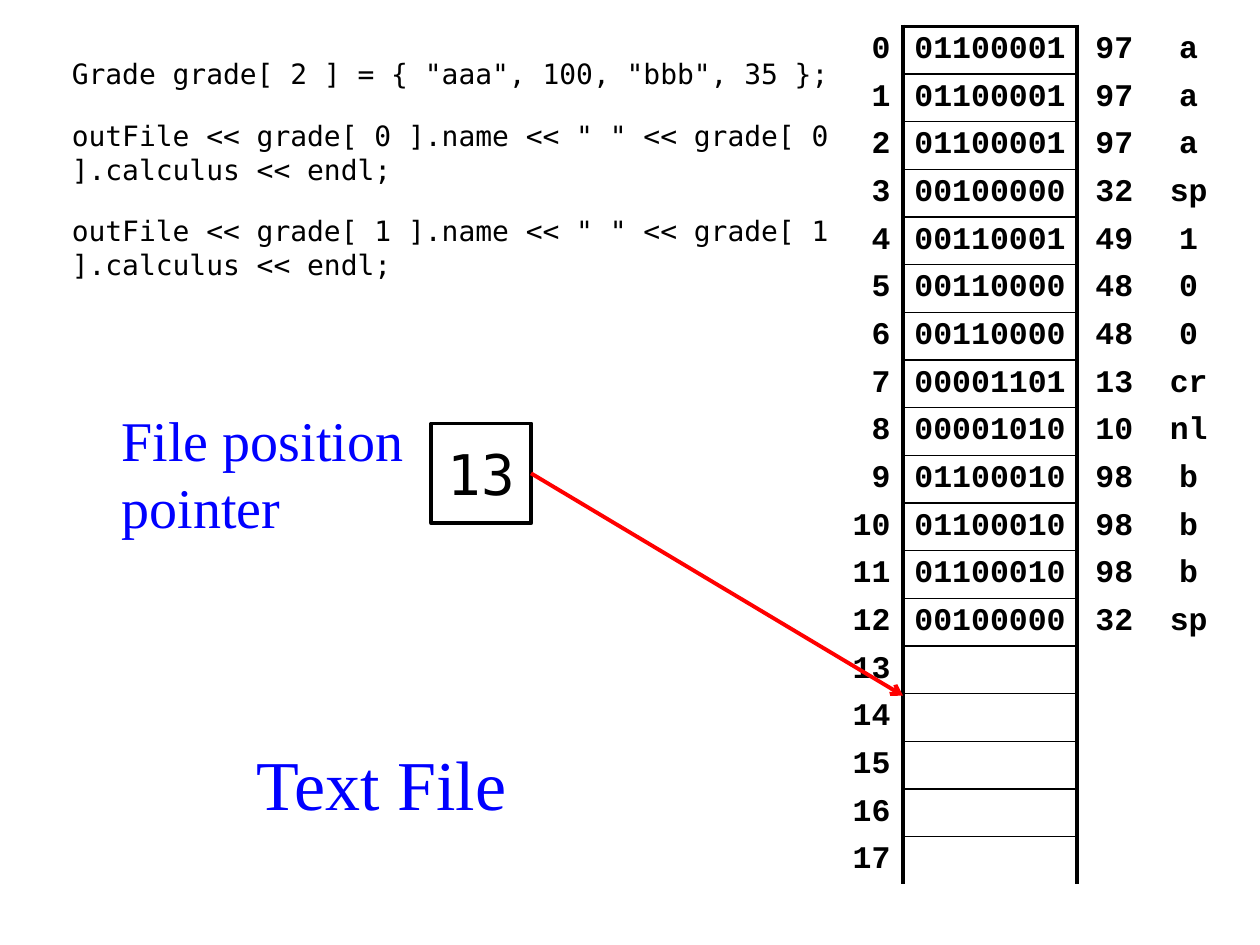
from dataclasses import dataclass

from lxml import etree
from pptx import Presentation, util as u
from pptx.dml.color import RGBColor
from pptx.enum import shapes, text
from pptx.oxml import ns

Pt = u.Pt
ALIGN = text.PP_ALIGN
MID = text.MSO_ANCHOR.MIDDLE


@dataclass(frozen=True)
class Theme:
    ink: str = "000000"
    blue: str = "0000FF"
    red: str = "FF0000"
    serif: str = "Times New Roman"
    code: str = "DejaVu Sans Mono"
    grid: str = "Courier New"
    title: float = 40
    label: float = 32
    cell: float = 18
    body: float = 16
    thick: float = 2.25
    thin: float = 1


theme = Theme()


def write(frame, lines, font, size, color, align=ALIGN.LEFT, bold=False, gap=0):
    for i, line in enumerate(lines):
        para = frame.paragraphs[0] if i == 0 else frame.add_paragraph()
        para.alignment = align
        para.space_before = Pt(gap)
        run = para.add_run()
        run.text = line
        run.font.name = font
        run.font.size = Pt(size)
        run.font.bold = bold
        run.font.color.rgb = RGBColor.from_string(color)


def border(cell, sides):
    props = cell._tc.get_or_add_tcPr()
    for i, side in enumerate("LRTB"):
        width = sides.get(side, 0)
        line = etree.Element(ns.qn(f"a:ln{side}"), w=str(int(Pt(width))))
        if width:
            fill = etree.SubElement(line, ns.qn("a:solidFill"))
            etree.SubElement(fill, ns.qn("a:srgbClr"), val=theme.ink)
        else:
            etree.SubElement(line, ns.qn("a:noFill"))
        props.insert(i, line)


deck = Presentation()
deck.slide_width, deck.slide_height = Pt(720), Pt(540)
slide = deck.slides.add_slide(deck.slide_layouts[6])

codes = [97, 97, 97, 32, 49, 48, 48, 13, 10, 98, 98, 98, 32]
names = {32: "sp", 13: "cr", 10: "nl"}
count = 18
row_h = 27.24
widths = [42.5, 99.5, 42.5, 42.5]
aligns = [ALIGN.RIGHT, ALIGN.CENTER, ALIGN.CENTER, ALIGN.CENTER]

grid = slide.shapes.add_table(
    count, len(widths), Pt(473.5), Pt(15), Pt(sum(widths)), Pt(row_h * count)
).table
grid.first_row = grid.horz_banding = False
for col, width in zip(grid.columns, widths):
    col.width = Pt(width)

for i in range(count):
    grid.rows[i].height = Pt(row_h)
    words = [str(i), "", "", ""]
    if i < len(codes):
        code = codes[i]
        words[1:] = [f"{code:08b}", str(code), names.get(code, chr(code))]
    edges = [
        {"R": theme.thick},
        {
            "L": theme.thick,
            "R": theme.thick,
            "T": theme.thin if i else theme.thick,
            "B": theme.thin if i < count - 1 else 0,
        },
        {"L": theme.thick},
        {},
    ]
    for j, word in enumerate(words):
        cell = grid.cell(i, j)
        cell.fill.background()
        cell.vertical_anchor = MID
        cell.margin_left = cell.margin_right = Pt(5.4 if j == 1 else 7.2)
        cell.margin_top = cell.margin_bottom = Pt(3.42 if word else 0)
        border(cell, edges[j])
        if word:
            write(cell.text_frame, [word], theme.grid, theme.cell, theme.ink, aligns[j], True)

source = [
    'Grade grade[ 2 ] = { "aaa", 100, "bbb", 35 };',
    'outFile << grade[ 0 ].name << " " << grade[ 0 ].calculus << endl;',
    'outFile << grade[ 1 ].name << " " << grade[ 1 ].calculus << endl;',
]
blocks = [
    (133, 412, 170, 70.5, MID, ["Text File"],
     theme.serif, theme.title, theme.blue, ALIGN.CENTER, False, 0),
    (34, 29, 453.5, 142, text.MSO_ANCHOR.TOP, source,
     theme.code, theme.body, theme.ink, ALIGN.LEFT, False, theme.body),
    (62.5, 227.5, 184.5, 85, MID, ["File position", "pointer"],
     theme.serif, theme.label, theme.blue, ALIGN.LEFT, False, 0),
]
for left, top, width, height, anchor, *style in blocks:
    frame = slide.shapes.add_textbox(Pt(left), Pt(top), Pt(width), Pt(height)).text_frame
    frame.word_wrap = True
    frame.vertical_anchor = anchor
    write(frame, *style)

box = slide.shapes.add_shape(shapes.MSO_SHAPE.RECTANGLE, Pt(246.5), Pt(242), Pt(57), Pt(57))
box.shadow.inherit = False
box.fill.background()
box.line.color.rgb = RGBColor.from_string(theme.ink)
box.line.width = Pt(theme.thick)
box.text_frame.word_wrap = False
box.text_frame.vertical_anchor = MID
write(box.text_frame, ["13"], theme.code, theme.label, theme.ink, ALIGN.CENTER)

arrow = slide.shapes.add_connector(
    shapes.MSO_CONNECTOR.STRAIGHT, Pt(303.5), Pt(270.5), Pt(516), Pt(397.5)
)
arrow.begin_connect(box, 3)
arrow.line.color.rgb = RGBColor.from_string(theme.red)
arrow.line.width = Pt(theme.thick)
etree.SubElement(arrow.line._get_or_add_ln(), ns.qn("a:tailEnd"), type="arrow")
etree.SubElement(arrow._element.spPr, ns.qn("a:effectLst"))

deck.save("out.pptx")
